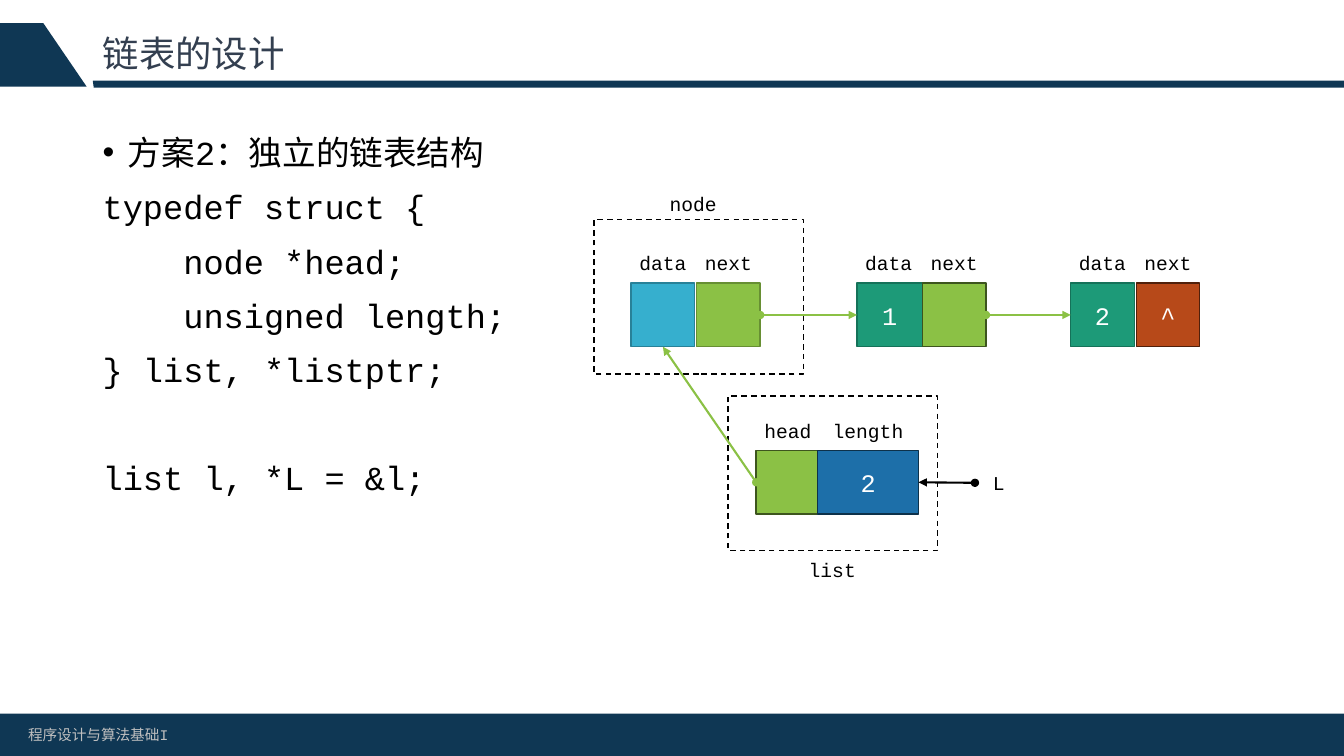
from lxml import etree
from pptx import Presentation
from pptx.dml.color import RGBColor
from pptx.enum.dml import MSO_LINE
from pptx.enum.shapes import MSO_CONNECTOR, MSO_SHAPE
from pptx.enum.text import MSO_ANCHOR, PP_ALIGN
from pptx.oxml.ns import qn
from pptx.util import Inches, Pt

RECTANGLE = MSO_SHAPE.RECTANGLE
STRAIGHT = MSO_CONNECTOR.STRAIGHT
DASH = MSO_LINE.DASH
MIDDLE, TOP = MSO_ANCHOR.MIDDLE, MSO_ANCHOR.TOP
LEFT, CENTER, JUSTIFY = PP_ALIGN.LEFT, PP_ALIGN.CENTER, PP_ALIGN.JUSTIFY
SIDE_LEFT, SIDE_BOTTOM, SIDE_RIGHT = 1, 2, 3

FONT = "Courier New"
COLORS = {
    "navy": "0F3754", "title": "333F50", "footer": "BFBFBF",
    "black": "000000", "white": "FFFFFF",
    "teal": "1D9A78", "teal line": "157259",
    "green": "8BC145", "green line": "678F33", "dark green line": "3D551E",
    "cyan": "36AFCE", "cyan line": "288198",
    "blue": "1D6FA9", "blue line": "0D314A",
    "rust": "B74919", "rust line": "50200B",
}
COLORS = {name: RGBColor.from_string(value) for name, value in COLORS.items()}

presentation = Presentation()
presentation.slide_width = Inches(13.33)
presentation.slide_height = Inches(7.5)
slide = presentation.slides.add_slide(presentation.slide_layouts[6])
shapes = slide.shapes


def write(shape, lines, size, color, align=CENTER, anchor=TOP):
    """Fill a shape with one paragraph per line and return the paragraphs."""
    frame = shape.text_frame
    frame.word_wrap = True
    frame.vertical_anchor = anchor
    for index, line in enumerate(lines):
        paragraph = frame.add_paragraph() if index else frame.paragraphs[0]
        paragraph.alignment = align
        run = paragraph.add_run()
        run.text = line
        run.font.name = FONT
        run.font.size = Pt(size)
        run.font.color.rgb = COLORS[color]
    return frame.paragraphs


def add_box(left, top, width, height, fill=None, line=None):
    """Add a plain rectangle, unfilled or unlined where no colour is named."""
    shape = shapes.add_shape(RECTANGLE, Inches(left), Inches(top), Inches(width), Inches(height))
    shape.shadow.inherit = False
    if fill:
        shape.fill.solid()
        shape.fill.fore_color.rgb = COLORS[fill]
    else:
        shape.fill.background()
    if line:
        shape.line.color.rgb = COLORS[line]
        shape.line.width = Pt(1)
    else:
        shape.line.fill.background()
    return shape


# Header and footer bands
header_outlines = [
    [(0.92, 0.8), (13.33, 0.8), (13.33, 0.87), (0.93, 0.87)],
    [(0.43, 0.23), (0.86, 0.86), (0, 0.86), (0, 0.23)],
]
for outline in header_outlines:
    points = [(Inches(x), Inches(y)) for x, y in outline]
    builder = shapes.build_freeform(*points[0])
    builder.add_line_segments(points[1:], close=True)
    band = builder.convert_to_shape()
    band.shadow.inherit = False
    band.fill.solid()
    band.fill.fore_color.rgb = COLORS["navy"]
    band.line.fill.background()
add_box(0, 7.08, 13.33, 0.42, "navy")

footer = shapes.add_textbox(Inches(0.18), Inches(7.15), Inches(4.32), Inches(0.29))
write(footer, ["程序设计与算法基础I"], 10.5, "footer", LEFT)
title = shapes.add_textbox(Inches(0.92), Inches(0.23), Inches(11.5), Inches(0.64))
write(title, ["链表的设计"], 26, "title", LEFT, MIDDLE)[0].line_spacing = 0.9

# Struct definition; the last line stands one line apart
code_lines = [
    "方案2：独立的链表结构",
    "typedef struct {",
    "    node *head;",
    "    unsigned length;",
    "} list, *listptr;",
    "list l, *L = &l;",
]
body = shapes.add_textbox(Inches(0.92), Inches(1.26), Inches(11.5), Inches(5.43))
paragraphs = write(body, code_lines, 24, "black", JUSTIFY)
for paragraph in paragraphs[1:]:
    paragraph.space_before = Pt(10)
paragraphs[-1].space_before = Pt(48)
bullet_properties = paragraphs[0]._p.get_or_add_pPr()
bullet_properties.set("marL", str(Inches(0.25)))
bullet_properties.set("indent", str(-Inches(0.25)))
etree.SubElement(bullet_properties, qn("a:buFont")).set("typeface", "Arial")
etree.SubElement(bullet_properties, qn("a:buChar")).set("char", "•")

# Cells: name, left, top, width, fill, line, value
cells = [
    ("header data", 6.26, 2.81, 0.63, "cyan", "cyan line", ""),
    ("header next", 6.91, 2.81, 0.63, "green", "green line", ""),
    ("first data", 8.5, 2.81, 0.65, "teal", "teal line", "1"),
    ("first next", 9.15, 2.81, 0.63, "green", "dark green line", ""),
    ("second data", 10.62, 2.81, 0.63, "teal", "teal line", "2"),
    ("second next", 11.27, 2.81, 0.63, "rust", "rust line", "^"),
    ("list head", 7.5, 4.47, 0.61, "green", "dark green line", ""),
    ("list length", 8.11, 4.47, 1, "blue", "blue line", "2"),
]
ends = {}
for name, left, top, width, fill, line, value in cells:
    ends[name] = add_box(left, top, width, 0.63, fill, line)
    if value:
        write(ends[name], [value], 18, "white", anchor=MIDDLE)

# Dashed frames around the header node and the list
for left, top in [(5.89, 2.18), (7.22, 3.93)]:
    add_box(left, top, 2.08, 1.53, line="black").line.dash_style = DASH

labels = [
    ("node", 6.52, 1.86, 0.71),
    ("list", 7.9, 5.49, 0.71),
    ("head", 7.46, 4.11, 0.71),
    ("length", 8.11, 4.11, 1),
    ("L", 9.67, 4.62, 0.47),
]
for node_left in (6.22, 8.46, 10.58):
    labels += [("data", node_left, 2.44, 0.71), ("next", node_left + 0.65, 2.44, 0.71)]
for text, left, top, width in labels:
    label = shapes.add_textbox(Inches(left), Inches(top), Inches(width), Inches(0.34))
    write(label, [text], 14, "black")
    if text == "L":
        ends["L"] = label

# Pointers: from, side, to, side, colour
pointers = [
    ("header next", SIDE_RIGHT, "first data", SIDE_LEFT, "green"),
    ("first next", SIDE_RIGHT, "second data", SIDE_LEFT, "green"),
    ("list head", SIDE_LEFT, "header data", SIDE_BOTTOM, "green"),
    ("L", SIDE_LEFT, "list length", SIDE_RIGHT, "black"),
]
for source, source_side, target, target_side, color in pointers:
    pointer = shapes.add_connector(STRAIGHT, 0, 0, 0, 0)
    pointer.begin_connect(ends[source], source_side)
    pointer.end_connect(ends[target], target_side)
    pointer.line.color.rgb = COLORS[color]
    pointer.line.width = Pt(1.5)
    line_properties = pointer.line._get_or_add_ln()
    etree.SubElement(line_properties, qn("a:headEnd")).set("type", "oval")
    etree.SubElement(line_properties, qn("a:tailEnd")).set("type", "triangle")
    etree.SubElement(pointer._element.spPr, qn("a:effectLst"))

presentation.save("out.pptx")
